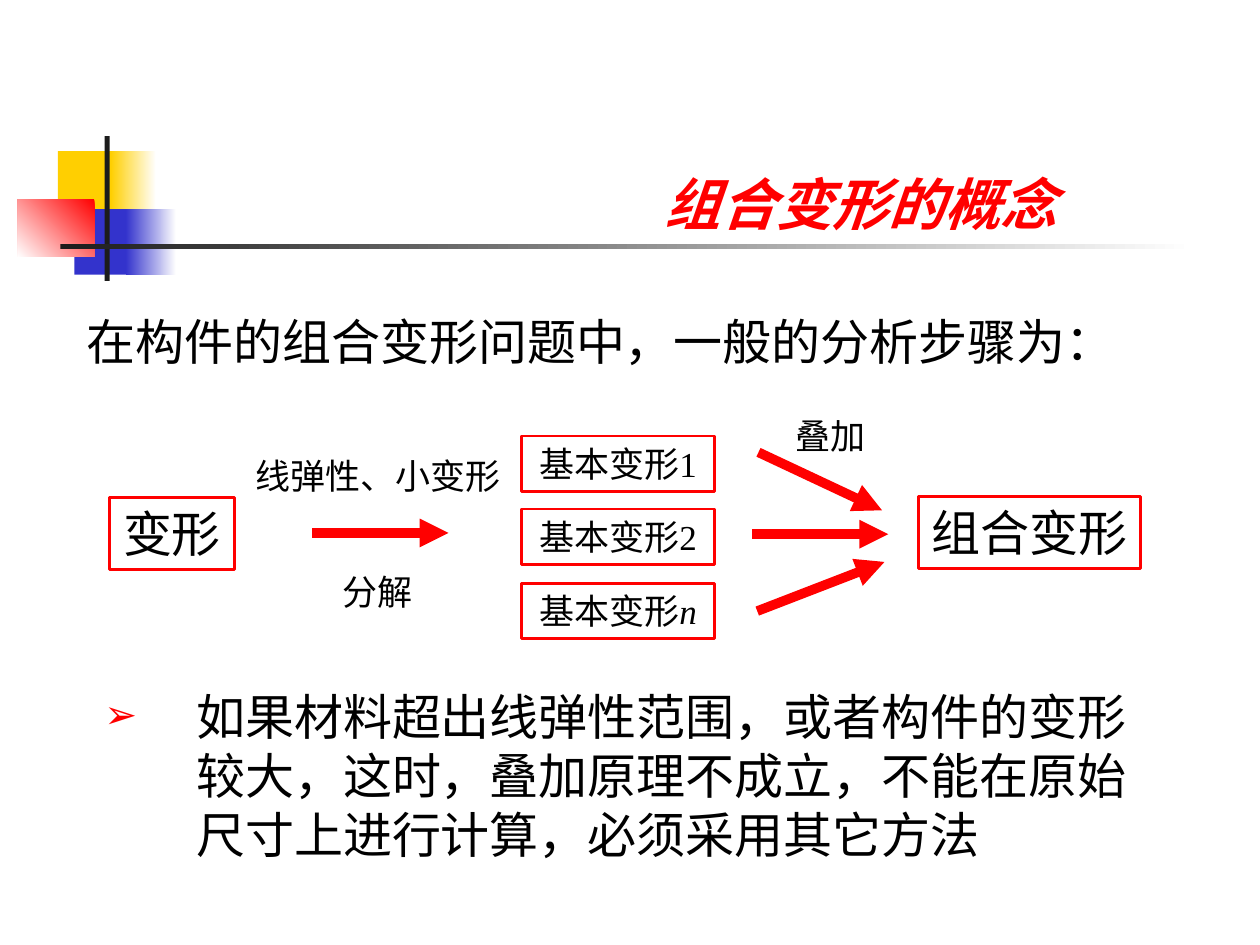
from lxml.etree import SubElement
from pptx import Presentation
from pptx.dml.color import RGBColor
from pptx.enum.shapes import MSO_CONNECTOR, MSO_SHAPE
from pptx.enum.text import MSO_ANCHOR, MSO_AUTO_SIZE, PP_ALIGN
from pptx.oxml.ns import qn
from pptx.util import Pt

PX = 9144  # EMU in one px, 100 px to the inch
COLORS = {
    "red": "FF0000", "yellow": "FFCF01", "blue": "3333CC",
    "dark": "1C1C1C", "black": "000000", "white": "FFFFFF",
}
BODY_FONT = "Karla"
LABEL_FONT = "Times New Roman"


def px(*lengths):
    return [length * PX for length in lengths]


def rgb(name):
    return RGBColor.from_string(COLORS[name])


def write(shape, text, size=20, font=BODY_FONT, color="black", bold=False,
          italic=False, italic_tail="", align=PP_ALIGN.CENTER,
          anchor=MSO_ANCHOR.TOP, wrap=False, bullet=None):
    frame = shape.text_frame
    frame.word_wrap = wrap
    frame.vertical_anchor = anchor
    if not wrap:
        frame.auto_size = MSO_AUTO_SIZE.SHAPE_TO_FIT_TEXT
    paragraph = frame.paragraphs[0]
    paragraph.alignment = align
    if bullet:
        add_bullet(paragraph, bullet)
    for part, slanted in ((text, italic), (italic_tail, True)):
        if part:
            run = paragraph.add_run()
            run.text = part
            run.font.size = Pt(size)
            run.font.name = font
            run.font.bold = bold
            run.font.italic = slanted
            run.font.color.rgb = rgb(color)


def add_bullet(paragraph, character, indent=73):
    properties = paragraph._p.get_or_add_pPr()
    properties.set("marL", str(indent * PX))
    properties.set("indent", str(-indent * PX))
    color = SubElement(properties, qn("a:buClr"))
    SubElement(color, qn("a:srgbClr"), val=COLORS["red"])
    SubElement(properties, qn("a:buSzPct"), val="80000")
    SubElement(properties, qn("a:buFont"), typeface=BODY_FONT)
    SubElement(properties, qn("a:buChar"), char=character)


def add_text(slide, box, text, **text_format):
    write(slide.shapes.add_textbox(*px(*box)), text, **text_format)


def add_block(slide, box, color, fade_angle=None):
    """Borderless rectangle, solid or fading to white."""
    shape = slide.shapes.add_shape(MSO_SHAPE.RECTANGLE, *px(*box))
    shape.shadow.inherit = False
    shape.line.fill.background()
    if fade_angle is None:
        shape.fill.solid()
        shape.fill.fore_color.rgb = rgb(color)
        return
    shape.fill.gradient()
    shape.fill.gradient_angle = fade_angle
    for stop, position, name in zip(shape.fill.gradient_stops, (0, 1), (color, "white")):
        stop.position = position
        stop.color.rgb = rgb(name)


def add_framed(slide, box, text, **text_format):
    shape = slide.shapes.add_shape(MSO_SHAPE.RECTANGLE, *px(*box))
    shape.shadow.inherit = False
    shape.fill.background()
    shape.line.color.rgb = rgb("red")
    shape.line.width = Pt(1.5)
    write(shape, text, **text_format)


def add_arrow(slide, start, end):
    connector = slide.shapes.add_connector(MSO_CONNECTOR.STRAIGHT, *px(*start, *end))
    connector.line.color.rgb = rgb("red")
    connector.line.width = Pt(5.5)
    SubElement(connector.line._get_or_add_ln(), qn("a:tailEnd"), type="triangle")
    SubElement(connector._element.spPr, qn("a:effectLst"))


def draw_ornament(slide, left, top):
    blocks = [
        ((32, 12, 48, 52), "yellow", None),
        ((74, 12, 36, 52), "yellow", 0),
        ((45, 58, 46, 52), "blue", None),
        ((86, 58, 40, 52), "blue", 0),
        ((0, 50, 61, 46), "red", 225),
        ((69, 0, 4, 115), "dark", None),
        ((34, 86, 900, 4), "dark", 0),
    ]
    for (x, y, width, height), color, fade_angle in blocks:
        add_block(slide, (left + x, top + y, width, height), color, fade_angle)


def draw_diagram(slide, left, top):
    def place(x, y, width, height):
        return left + x, top + y, width, height

    # Whole deformation on the left, combined one on the right
    add_framed(slide, place(-1, 71, 99, 57), "变形", size=28)
    add_framed(slide, place(641, 70, 176, 57), "组合变形", size=28)

    # Column of basic deformations
    for row, (digit, letter) in enumerate((("1", ""), ("2", ""), ("", "n"))):
        add_framed(slide, place(326, 22 + round(58.5 * row), 153, 44),
                   "基本变形" + digit, italic_tail=letter, font=LABEL_FONT)

    # Step labels, each wide enough for one line
    labels = [
        ((102, 32, 220, 44), "线弹性、小变形"),
        ((171, 124, 81, 44), "分解"),
        ((531, 0, 81, 44), "叠加"),
    ]
    for box, text in labels:
        add_text(slide, place(*box), text)

    # Splitting arrow, then three joining arrows
    arrows = [
        ((160, 99), (268, 99)),
        ((514, 35), (612, 81)),
        ((509, 100), (617, 100)),
        ((513, 161), (614, 122)),
    ]
    for start, end in arrows:
        add_arrow(slide, (left + start[0], top + start[1]),
                  (left + end[0], top + end[1]))


def main():
    presentation = Presentation()
    presentation.slide_width, presentation.slide_height = px(1000, 750)
    slide = presentation.slides.add_slide(presentation.slide_layouts[6])

    draw_ornament(slide, 14, 108)
    add_text(slide, (126, 137, 723, 56), "组合变形的概念", size=32, color="red",
             bold=True, italic=True, align=PP_ALIGN.RIGHT,
             anchor=MSO_ANCHOR.BOTTOM, wrap=True)
    add_text(slide, (59, 242, 861, 58), "在构件的组合变形问题中，一般的分析步骤为：",
             size=28, align=PP_ALIGN.LEFT, wrap=True)
    draw_diagram(slide, 88, 324)
    add_text(slide, (73, 540, 858, 167),
             "如果材料超出线弹性范围，或者构件的变形较大，这时，叠加原理不成立，"
             "不能在原始尺寸上进行计算，必须采用其它方法",
             size=28, align=PP_ALIGN.LEFT, wrap=True, bullet="➢")

    presentation.save("out.pptx")


if __name__ == "__main__":
    main()
